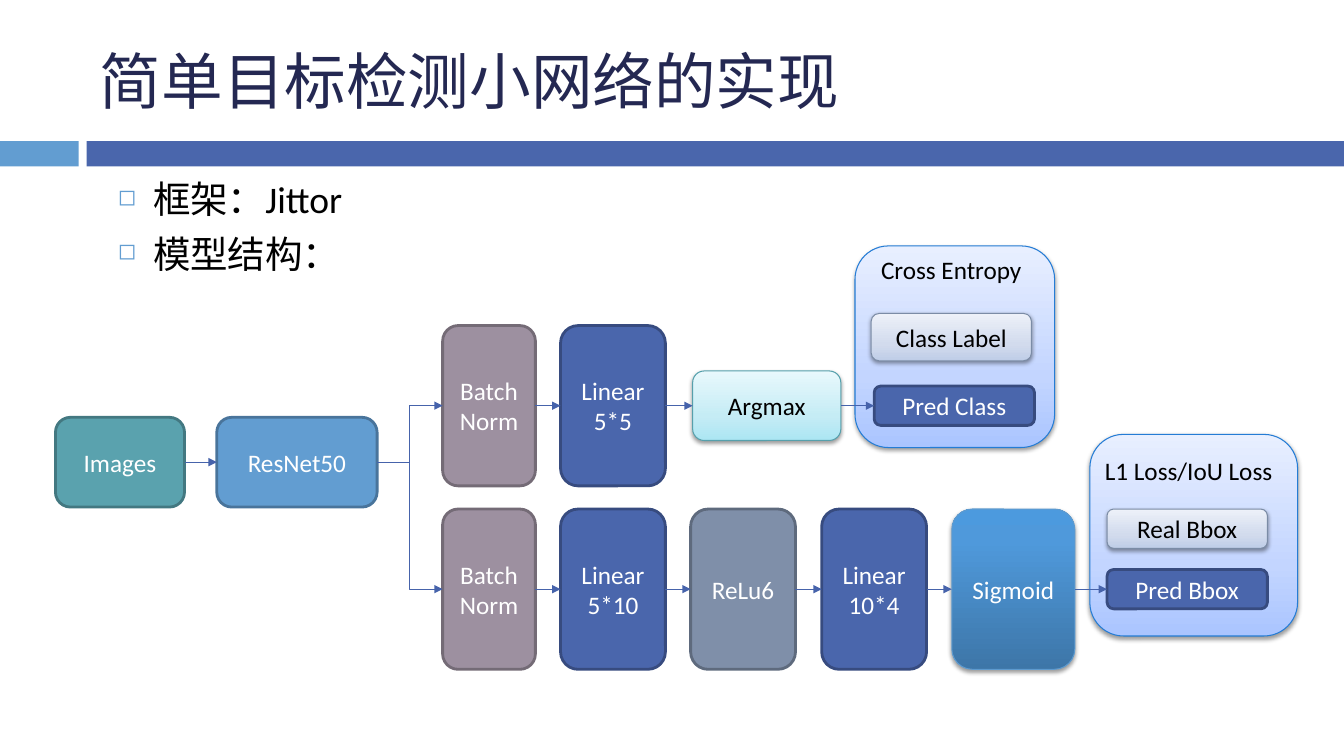
import pptx
import pptx.util
import pptx.dml.color
import pptx.enum.dml
import pptx.enum.shapes
import pptx.enum.text
import pptx.oxml
import pptx.oxml.ns
import lxml.etree

Inches, Pt = pptx.util.Inches, pptx.util.Pt
qn = pptx.oxml.ns.qn
SHAPE = pptx.enum.shapes.MSO_SHAPE
LINK = pptx.enum.shapes.MSO_CONNECTOR
ALIGN = pptx.enum.text.PP_ALIGN
ANCHOR = pptx.enum.text.MSO_ANCHOR
FIT = pptx.enum.text.MSO_AUTO_SIZE
add_tag = lxml.etree.SubElement


def paint(fill, color):
    fill.solid()
    fill.fore_color.rgb = pptx.dml.color.RGBColor.from_string(color)


def write(frame, text, size, color, align, form):
    """Fill a text frame and format every paragraph and run in it."""
    for name, value in form.items():
        setattr(frame, name, value)
    frame.text = text
    for par in frame.paragraphs:
        par.alignment = align
        for run in par.runs:
            for name, value in {"size": Pt(size), "name": "Calibri"}.items():
                setattr(run.font, name, value)
            paint(run.font.fill, color)


deck = pptx.Presentation()
deck.slide_width, deck.slide_height = Inches(13.33), Inches(7.5)
slide = deck.slides.add_slide(deck.slide_layouts[5])
shapes = slide.shapes

# Title and the two-part rule below it
title = shapes.title
place = {"left": 0.89, "top": 0.25, "width": 11.89, "height": 1.08}
for name, value in place.items():
    setattr(title, name, Inches(value))
write(title.text_frame, "简单目标检测小网络的实现", 44, "242852", ALIGN.LEFT,
      {"vertical_anchor": ANCHOR.MIDDLE, "auto_size": FIT.NONE})

for left, width, color in [(0, 0.78, "629DD1"), (0.86, 12.47, "4A66AC")]:
    bar = shapes.add_shape(SHAPE.RECTANGLE, Inches(left), Inches(1.4),
                           Inches(width), Inches(0.25))
    bar.shadow.inherit = False
    paint(bar.fill, color)
    bar.line.fill.background()

# Bulleted points
points = shapes.add_textbox(Inches(1.07), Inches(1.7), Inches(11.5), Inches(1.06))
write(points.text_frame, "框架：Jittor\n模型结构：", 26.8, "000000", ALIGN.LEFT,
      {"word_wrap": True})
for par in points.text_frame.paragraphs:
    par.space_before = Pt(7)
    props = par._p.get_or_add_pPr()
    props.set("marL", str(Inches(0.35)))
    props.set("indent", str(Inches(-0.35)))
    add_tag(add_tag(props, qn("a:buClr")), qn("a:srgbClr"), val="629DD1")
    add_tag(props, qn("a:buSzPct"), val="60000")
    add_tag(props, qn("a:buChar"), char="◻")

# Kinds of box: fill (one colour, or stops from bottom to top), line, text
PANEL = ([(0, "AAC5FF"), (35, "C3D5FF"), (100, "E8EFFF")], "247CD5", "000000")
TRUTH = ([(0, "BFCDE7"), (35, "D2DBED"), (100, "EDF1F9")], "7B8CA6", "000000")
CHOICE = ([(0, "ACE6F3"), (35, "C5ECF5"), (100, "E8F8FC")], "56A0AC", "000000")
SQUASH = ([(0, "3D76A8"), (80, "4F99DB"), (100, "4C9ADE")], "5D9ACF", "FFFFFF")
INPUT = ("5AA2AE", "437881", "FFFFFF")
TRUNK = ("629DD1", "49749B", "FFFFFF")
NORM = ("9D90A0", "746B76", "FFFFFF")
DENSE = ("4A66AC", "374B7F", "FFFFFF")
RELU = ("7F8FA9", "5E6A7D", "FFFFFF")

UPPER, LOWER, TALL = 3.23, 5.05, 1.59
boxes = {}
for key, text, kind, left, top, width, height in [
    ("box loss", "", PANEL, 10.81, 4.31, 2.06, 2),
    ("class loss", "", PANEL, 8.48, 2.44, 1.98, 2),
    ("images", "Images", INPUT, 0.55, 4.14, 1.28, 0.89),
    ("resnet", "ResNet50", TRUNK, 2.15, 4.14, 1.59, 0.89),
    ("class label", "Class Label", TRUTH, 8.64, 3.11, 1.59, 0.47),
    ("real box", "Real Bbox", TRUTH, 10.98, 5.05, 1.59, 0.39),
    ("upper norm", "Batch\vNorm", NORM, 4.39, UPPER, 0.92, TALL),
    ("upper linear", "Linear\n5*5", DENSE, 5.56, UPPER, 1.04, TALL),
    ("argmax", "Argmax", CHOICE, 6.87, 3.68, 1.47, 0.69),
    ("pred class", "Pred Class", DENSE, 8.67, 3.83, 1.59, 0.39),
    ("lower norm", "Batch\vNorm", NORM, 4.39, LOWER, 0.92, TALL),
    ("lower linear", "Linear\n5*10", DENSE, 5.56, LOWER, 1.04, TALL),
    ("relu", "ReLu6", RELU, 6.85, LOWER, 1.04, TALL),
    ("last linear", "Linear\n10*4", DENSE, 8.15, LOWER, 1.04, TALL),
    ("sigmoid", "Sigmoid", SQUASH, 9.44, LOWER, 1.22, TALL),
    ("pred box", "Pred Bbox", DENSE, 10.98, 5.65, 1.59, 0.39),
]:
    fill, edge, ink = kind
    box = shapes.add_shape(SHAPE.ROUNDED_RECTANGLE, Inches(left), Inches(top),
                           Inches(width), Inches(height))
    boxes[key] = box
    box.shadow.inherit = False
    paint(box.line.fill, edge)
    if isinstance(fill, str):
        paint(box.fill, fill)
        box.line.width = Pt(2)
    else:
        box.line.width = Pt(0.75)
        box.fill.gradient()
        box.fill.gradient_angle = 90
        props = box._element.spPr
        stops = props.find(".//" + qn("a:gsLst"))
        for stop in list(stops):
            stops.remove(stop)
        for pos, color in fill:
            stop = add_tag(stops, qn("a:gs"), pos=str(pos * 1000))
            add_tag(stop, qn("a:srgbClr"), val=color)
        shade = add_tag(props.find(qn("a:effectLst")), qn("a:outerShdw"),
                        blurRad=str(Pt(3.1)), dist=str(Pt(1.6)),
                        dir="5400000", rotWithShape="0")
        tint = add_tag(shade, qn("a:srgbClr"), val="000000")
        add_tag(tint, qn("a:alpha"), val="38000")
    if text:
        write(box.text_frame, text, 18, ink, ALIGN.CENTER,
              {"vertical_anchor": ANCHOR.MIDDLE, "word_wrap": True})

# Arrows run from the right side of one box to the left side of the next
for chain in [
    ["images", "resnet", "upper norm", "upper linear", "argmax", "pred class"],
    ["resnet", "lower norm", "lower linear", "relu", "last linear", "sigmoid",
     "pred box"],
]:
    for start, end in zip(chain, chain[1:]):
        bent = start == "resnet" or end == "pred class"
        arrow = shapes.add_connector(LINK.ELBOW if bent else LINK.STRAIGHT, 0, 0, 0, 0)
        arrow.begin_connect(boxes[start], 3)
        arrow.end_connect(boxes[end], 1)
        arrow.line.width = Pt(0.75)
        paint(arrow.line.fill, "4663AB")
        props = arrow._element.spPr
        add_tag(props.find(qn("a:ln")), qn("a:tailEnd"), type="triangle")
        add_tag(props, qn("a:effectLst"))

# Names of the two losses
for text, left, top, width in [("Cross Entropy", 8.64, 2.47, 1.76),
                               ("L1 Loss/IoU Loss", 10.86, 4.47, 2.12)]:
    label = shapes.add_textbox(Inches(left), Inches(top), Inches(width), Inches(0.4))
    write(label.text_frame, text, 18, "000000", ALIGN.LEFT,
          {"word_wrap": True, "auto_size": FIT.SHAPE_TO_FIT_TEXT})

deck.save("out.pptx")
